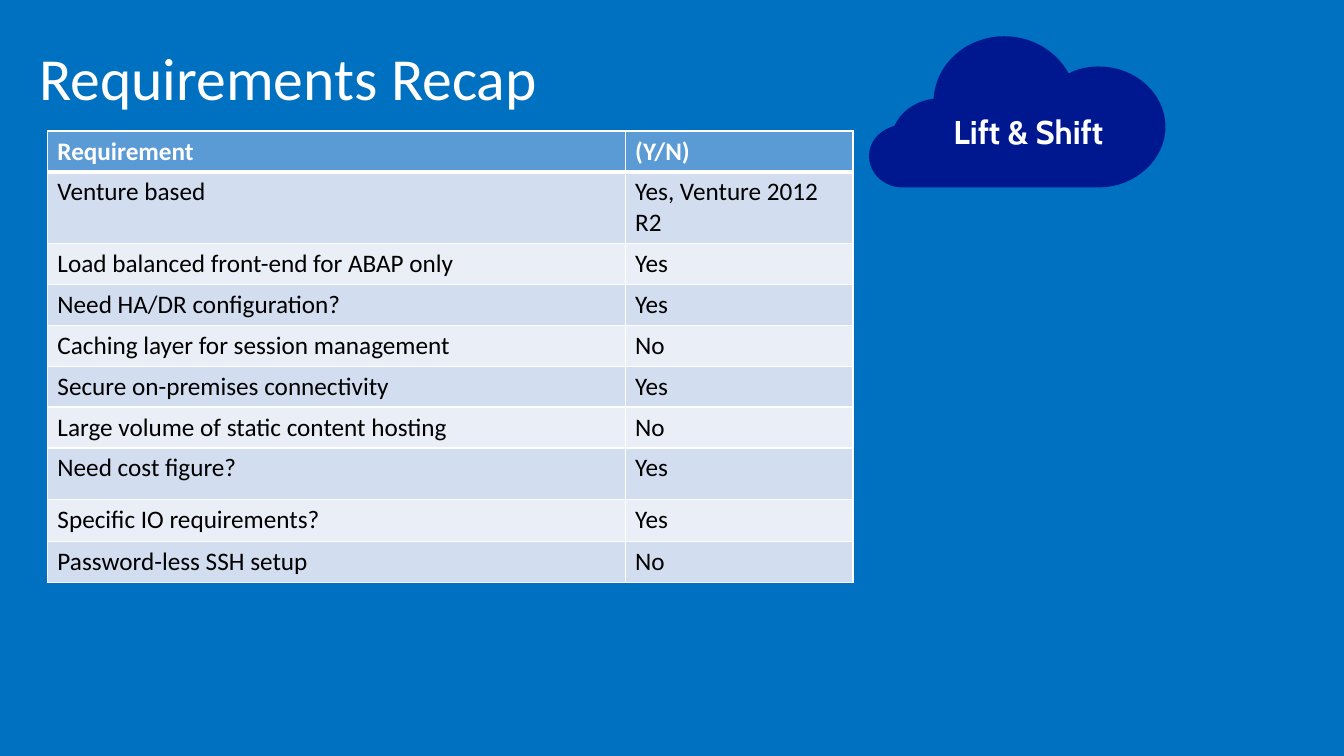
from dataclasses import dataclass

from lxml.etree import SubElement
from pptx import Presentation
from pptx.dml.color import RGBColor as RGB
from pptx.enum.text import MSO_ANCHOR as ANCHOR, PP_ALIGN as ALIGN
from pptx.oxml.ns import qn
from pptx.slide import Slide
from pptx.table import _Cell as Cell
from pptx.text.text import _Paragraph as Paragraph
from pptx.util import Inches, Pt

COLORS = {
    "background": "0070C0",
    "white": "FFFFFF",
    "black": "000000",
    "header": "5B9BD5",
    "odd": "D2DEEF",
    "even": "EAEFF7",
    "cloud": "00188F",
}


@dataclass(frozen=True)
class Requirement:
    """A table row with its height in inches."""

    name: str
    answer: str
    height: float = 0.4


REQUIREMENTS = [
    Requirement("Requirement", "(Y/N)"),
    Requirement("Venture based", "Yes, Venture 2012 R2", 0.7),
    Requirement("Load balanced front-end for ABAP only", "Yes"),
    Requirement("Need HA/DR configuration?", "Yes"),
    Requirement("Caching layer for session management", "No"),
    Requirement("Secure on-premises connectivity", "Yes"),
    Requirement("Large volume of static content hosting", "No"),
    Requirement("Need cost figure?", "Yes", 0.51),
    Requirement("Specific IO requirements?", "Yes", 0.42),
    Requirement("Password-less SSH setup", "No"),
]
COLUMN_WIDTHS = [5.73, 2.26]

CLOUD_START = (8.95, 1.86)
CLOUD_CURVES = [
    ((8.77, 1.86), (8.62, 1.72), (8.62, 1.55)),
    ((8.62, 1.4), (8.73, 1.29), (8.87, 1.25)),
    ((8.94, 1.1), (9.09, 1), (9.26, 0.98)),
    ((9.28, 0.63), (9.59, 0.36), (9.96, 0.36)),
    ((10.24, 0.36), (10.48, 0.51), (10.6, 0.73)),
    ((10.69, 0.68), (10.8, 0.66), (10.9, 0.66)),
    ((11.26, 0.66), (11.56, 0.93), (11.56, 1.26)),
    ((11.56, 1.58), (11.26, 1.86), (10.9, 1.86)),
]
CURVE_STEPS = 16


def color(name: str) -> RGB:
    """Return a palette colour."""
    return RGB.from_string(COLORS[name])


def format_text(p: Paragraph, size: float, name: str, ink: str, bold: bool = False) -> None:
    """Set the font of a paragraph."""
    p.font.size = Pt(size)
    p.font.name = name
    p.font.bold = bold
    p.font.color.rgb = color(ink)


def set_borders(cell: Cell, widths: dict[str, int]) -> None:
    """Draw white borders, with widths in points by side."""
    tc_pr = cell._tc.get_or_add_tcPr()
    for i, (side, width) in enumerate(widths.items()):
        line = SubElement(tc_pr, qn(f"a:ln{side}"), w=str(Pt(width)))
        fill = SubElement(line, qn("a:solidFill"))
        SubElement(fill, qn("a:srgbClr"), val=COLORS["white"])
        tc_pr.insert(i, line)


def add_title(s: Slide) -> None:
    """Fill and place the title placeholder."""
    sp = s.shapes.title
    sp.left, sp.top, sp.width, sp.height = map(Inches, (0.29, 0.32, 12.57, 0.98))
    tf = sp.text_frame
    tf.text = "Requirements Recap"
    tf.vertical_anchor = ANCHOR.MIDDLE
    p = tf.paragraphs[0]
    p.alignment = ALIGN.LEFT
    p.line_spacing = 0.9
    format_text(p, 42.6, "Calibri", "white")


def add_requirements(s: Slide) -> None:
    """Add the banded table of requirements."""
    height = sum(req.height for req in REQUIREMENTS)
    frame = s.shapes.add_table(
        len(REQUIREMENTS), len(COLUMN_WIDTHS),
        Inches(0.47), Inches(1.3), Inches(sum(COLUMN_WIDTHS)), Inches(height),
    )
    table = frame.table
    for column, width in zip(table.columns, COLUMN_WIDTHS):
        column.width = Inches(width)
    for i, req in enumerate(REQUIREMENTS):
        header = i == 0
        band = "header" if header else "odd" if i % 2 else "even"
        table.rows[i].height = Inches(req.height)
        for j, text in enumerate((req.name, req.answer)):
            cell = table.cell(i, j)
            cell.text = text
            cell.fill.solid()
            cell.fill.fore_color.rgb = color(band)
            ink = "white" if header else "black"
            format_text(cell.text_frame.paragraphs[0], 18, "Calibri", ink, header)
            set_borders(cell, {"L": 1, "R": 1, "T": 3 if i == 1 else 1, "B": 3 if header else 1})


def cloud_points() -> list[tuple[int, ...]]:
    """Sample the cubic curves of the cloud outline."""
    points = []
    start = CLOUD_START
    for c1, c2, end in CLOUD_CURVES:
        for step in range(1, CURVE_STEPS + 1):
            t = step / CURVE_STEPS
            u = 1 - t
            points.append(tuple(
                Inches(u**3 * a + 3 * u**2 * t * b + 3 * u * t**2 * c + t**3 * d)
                for a, b, c, d in zip(start, c1, c2, end)
            ))
        start = end
    return points


def add_cloud(s: Slide) -> None:
    """Add the cloud and its label."""
    builder = s.shapes.build_freeform(*map(Inches, CLOUD_START))
    builder.add_line_segments(cloud_points(), close=True)
    sp = builder.convert_to_shape()
    sp.shadow.inherit = False
    sp.fill.solid()
    sp.fill.fore_color.rgb = color("cloud")
    sp.line.fill.background()

    label = s.shapes.add_textbox(*map(Inches, (9.01, 1.03, 2.38, 0.48)))
    tf = label.text_frame
    tf.word_wrap = True
    tf.margin_left = tf.margin_right = Inches(0.15)
    tf.margin_top = tf.margin_bottom = Inches(0.12)
    p = tf.paragraphs[0]
    p.text = "Lift & Shift"
    p.alignment = ALIGN.CENTER
    p.line_spacing = 0.9
    format_text(p, 23.5, "Cabin", "white", True)


def main() -> None:
    """Build and save the slide."""
    prs = Presentation()
    prs.slide_width, prs.slide_height = Inches(13.33), Inches(7.5)
    s = prs.slides.add_slide(prs.slide_layouts.get_by_name("Title Only"))
    s.background.fill.solid()
    s.background.fill.fore_color.rgb = color("background")
    add_title(s)
    add_requirements(s)
    add_cloud(s)
    prs.save("out.pptx")


if __name__ == "__main__":
    main()
